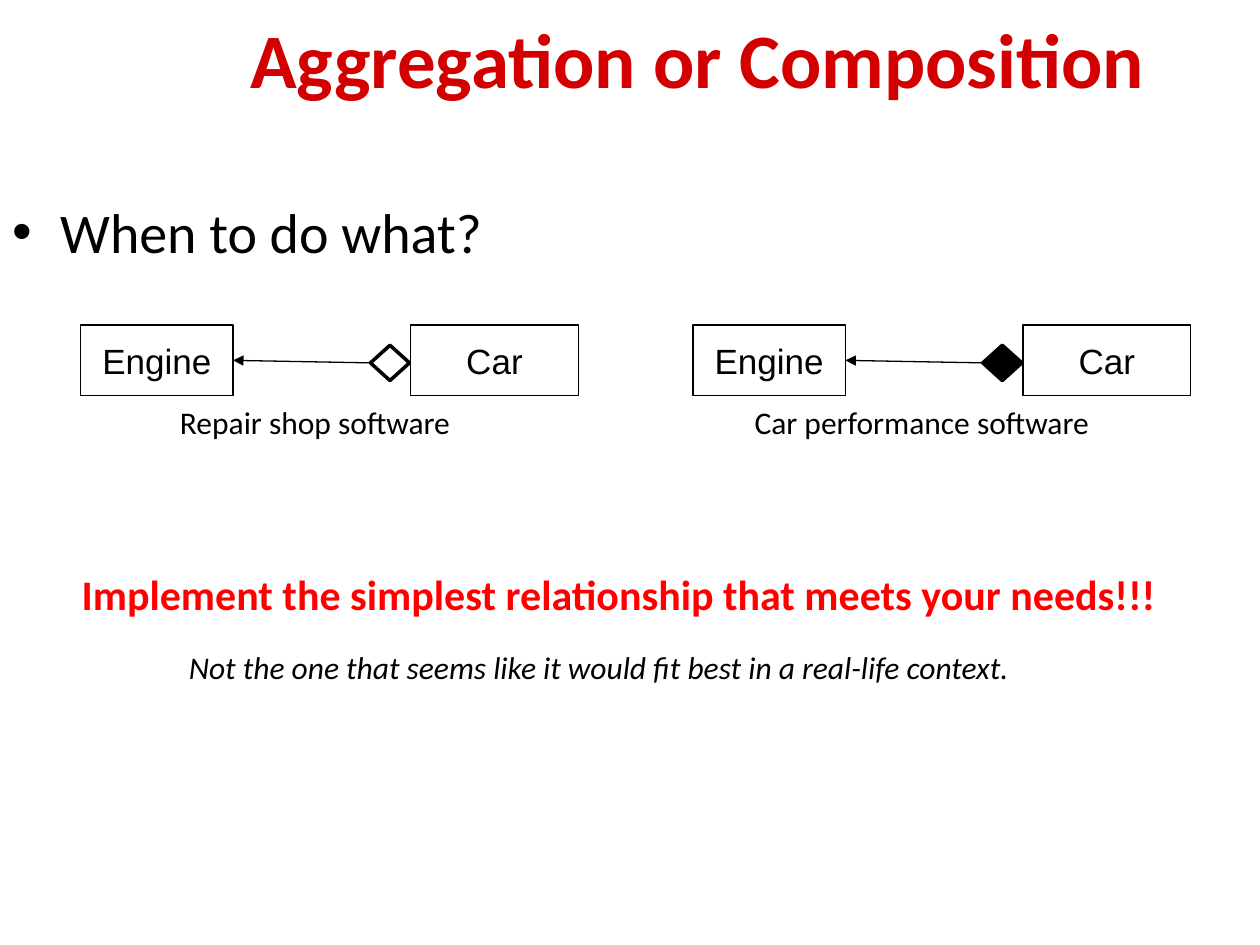
from dataclasses import dataclass

from lxml import etree
from pptx import Presentation, util as u
from pptx.dml.color import RGBColor
from pptx.enum import shapes, text
from pptx.oxml.ns import qn


@dataclass(frozen=True)
class Theme:
    """Colours, fonts and type sizes of the slide."""
    ink: RGBColor = RGBColor(0, 0, 0)
    paper: RGBColor = RGBColor(255, 255, 255)
    heading: RGBColor = RGBColor(0xD2, 0, 0)
    alert: RGBColor = RGBColor(255, 0, 0)
    body_font: str = "Calibri"
    diagram_font: str = "Arial"
    title_size: int = 44
    bullet_size: int = 32
    advice_size: int = 24
    class_size: int = 20
    note_size: int = 18
    thin: float = 0.75
    thick: float = 2


class SlideBuilder:
    def __init__(self, slide, theme):
        self.slide = slide
        self.theme = theme

    def fill_text(self, frame, words, size, color=None, font=None, **formats):
        """Put one paragraph in a frame and format its font."""
        paragraph = frame.paragraphs[0]
        run = paragraph.add_run()
        run.text = words
        run.font.color.rgb = color or self.theme.ink
        formats.update(size=u.Pt(size), name=font or self.theme.body_font)
        for name, value in formats.items():
            setattr(run.font, name, value)
        return paragraph

    def title(self, words, box):
        title = self.slide.shapes.title
        title.left, title.top, title.width, title.height = map(u.Inches, box)
        title.text_frame.vertical_anchor = text.MSO_ANCHOR.MIDDLE
        line = self.fill_text(title.text_frame, words, self.theme.title_size,
                              self.theme.heading, bold=True)
        line.alignment = text.PP_ALIGN.CENTER

    def label(self, words, box, size, color=None, spacing=1, wrap=False,
              bullet=False, **formats):
        frame = self.slide.shapes.add_textbox(*map(u.Inches, box)).text_frame
        frame.word_wrap = wrap
        if bullet:
            props = frame.paragraphs[0]._p.get_or_add_pPr()
            indent = u.Inches(0.38)
            props.set("marL", str(indent))
            props.set("indent", str(-indent))
            etree.SubElement(props, qn("a:buFont"), typeface="Arial")
            etree.SubElement(props, qn("a:buChar"), char="•")
        line = self.fill_text(frame, words, size, color, **formats)
        line.line_spacing = spacing

    def outline(self, group, kind, box, fill, weight):
        shape = group.shapes.add_shape(kind, *map(u.Inches, box))
        shape.shadow.inherit = False
        if fill is None:
            shape.fill.background()
        else:
            shape.fill.solid()
            shape.fill.fore_color.rgb = fill
        shape.line.color.rgb = self.theme.ink
        shape.line.width = u.Pt(weight)
        return shape

    def class_box(self, group, name, box):
        shape = self.outline(group, shapes.MSO_SHAPE.RECTANGLE, box, None,
                             self.theme.thin)
        frame = shape.text_frame
        frame.word_wrap = False
        frame.vertical_anchor = text.MSO_ANCHOR.MIDDLE
        line = self.fill_text(frame, name, self.theme.class_size,
                              font=self.theme.diagram_font)
        line.alignment = text.PP_ALIGN.CENTER
        return shape

    def arrow(self, group, start, end):
        """Arrow from the left side of start to the right side of end."""
        link = group.shapes.add_connector(shapes.MSO_CONNECTOR.STRAIGHT,
                                          start.left, start.top, end.left, end.top)
        link.begin_connect(start, 1)
        link.end_connect(end, 3)
        link.line.color.rgb = self.theme.ink
        link.line.width = u.Pt(self.theme.thin)
        etree.SubElement(link.line._get_or_add_ln(), qn("a:tailEnd"), type="triangle")
        etree.SubElement(link._element.spPr, qn("a:effectLst"))

    def relationship(self, left, diamond_fill):
        """Engine and Car joined by a diamond-ended arrow."""
        group = self.slide.shapes.add_group_shape()
        top, height = 2.58, 0.56
        engine = self.class_box(group, "Engine", (left, top, 1.21, height))
        self.class_box(group, "Car", (left + 2.62, top, 1.33, height))
        diamond = self.outline(group, shapes.MSO_SHAPE.DIAMOND,
                               (left + 2.3, 2.74, 0.31, 0.28),
                               diamond_fill, self.theme.thick)
        self.arrow(group, diamond, engine)


def main():
    deck = Presentation()
    deck.slide_width, deck.slide_height = u.Inches(10), u.Inches(7.5)
    theme = Theme()
    page = SlideBuilder(deck.slides.add_slide(deck.slide_layouts[5]), theme)

    # Heading and question
    page.title("Aggregation or Composition", (1.08, 0, 8.92, 0.91))
    page.label("When to do what?", (0, 1.25, 10, 0.92), theme.bullet_size,
               spacing=1.5, wrap=True, bullet=True)

    # Aggregation (open diamond) beside composition (filled diamond)
    page.relationship(0.64, theme.paper)
    page.relationship(5.5, theme.ink)
    page.label("Repair shop software", (1.33, 3.15, 2.38, 0.4), theme.note_size)
    page.label("Car performance software", (5.89, 3.15, 2.89, 0.4), theme.note_size)

    # Advice
    page.label("Implement the simplest relationship that meets your needs!!!",
               (0.55, 4.26, 8.82, 0.71), theme.advice_size, theme.alert,
               spacing=1.5, bold=True)
    page.label("Not the one that seems like it would fit best in a real-life context.",
               (1.4, 4.94, 6.85, 0.86), theme.note_size, spacing=1.5, italic=True)

    deck.save("out.pptx")


if __name__ == "__main__":
    main()
